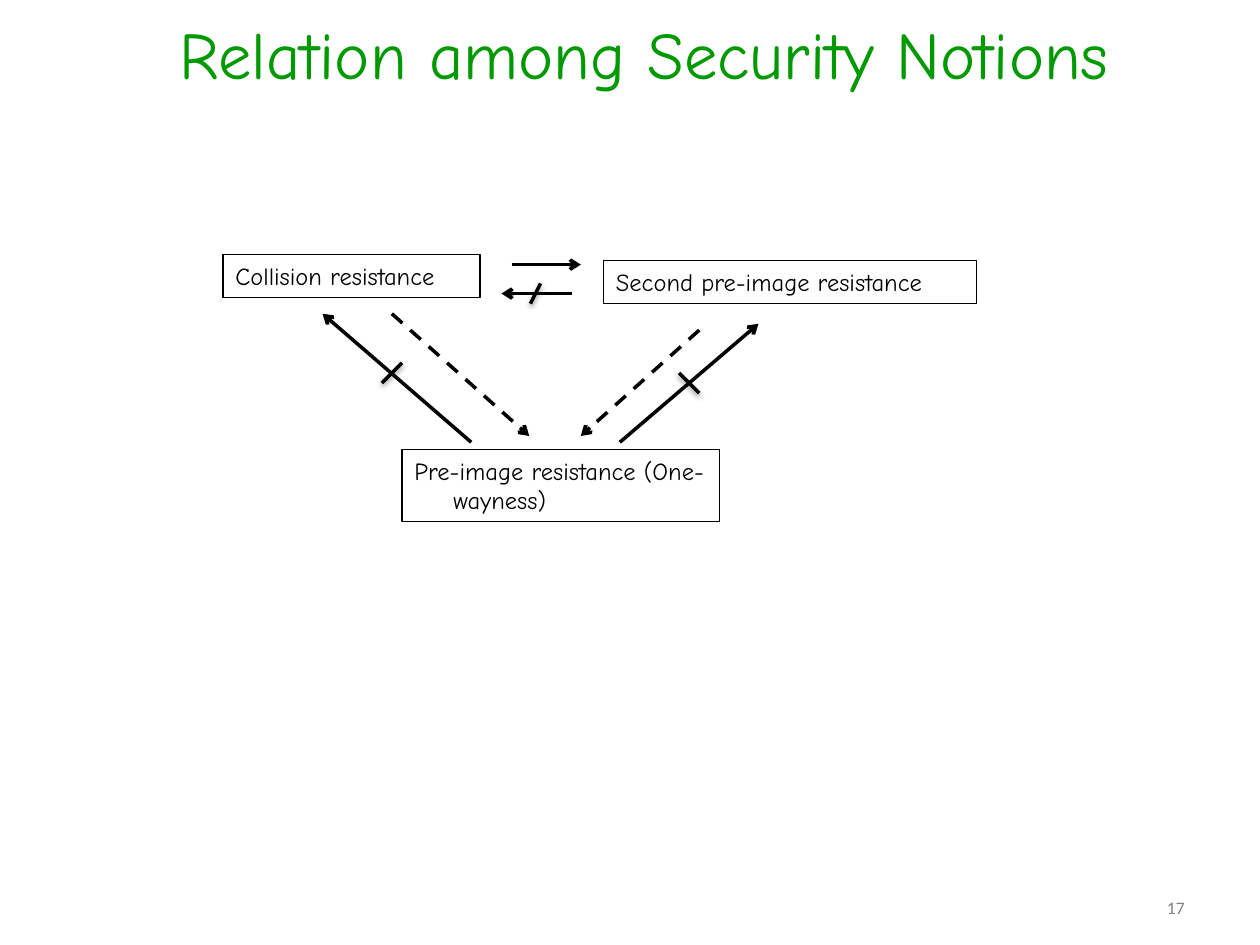
from pptx import Presentation, util as u
from pptx.dml.color import RGBColor
from pptx.enum import dml, shapes, text
from pptx.oxml import parse_xml
from pptx.oxml.ns import nsdecls

THEME = dict(
    title=("Comic Neue", 38, RGBColor(0x00, 0x99, 0x00)),
    body=("Comic Neue", 14, RGBColor(0x00, 0x00, 0x00)),
    number=("Calibri", 10, RGBColor(0x80, 0x80, 0x80)),
    ink=RGBColor(0x00, 0x00, 0x00), border=0.75, stroke=2, hang=0.31,
)
SHADOW = ('<a:outerShdw blurRad="39370" dist="20320" dir="5400000" rotWithShape="0">'
          '<a:srgbClr val="000000"><a:alpha val="38000"/></a:srgbClr></a:outerShdw>')

prs = Presentation()
prs.slide_width, prs.slide_height = u.Inches(10), u.Inches(7.5)
s = prs.slides.add_slide(prs.slide_layouts[6])


def write(sp, words, style, align, anchor=text.MSO_ANCHOR.TOP):
    tf = sp.text_frame
    tf.word_wrap = True
    tf.vertical_anchor = anchor
    p = tf.paragraphs[0]
    p.alignment = align
    r = p.add_run()
    r.text = words
    r.font.name, size, r.font.color.rgb = THEME[style]
    r.font.size = u.Pt(size)
    return p


def line(start, end, dash=False, arrow=True):
    sp = s.shapes.add_connector(shapes.MSO_CONNECTOR.STRAIGHT,
                                *(u.Inches(v) for v in start + end))
    sp.line.color.rgb = THEME["ink"]
    sp.line.width = u.Pt(THEME["stroke"])
    if dash:
        sp.line.dash_style = dml.MSO_LINE.DASH
    if arrow:
        sp.line._get_or_add_ln().append(
            parse_xml(f'<a:tailEnd {nsdecls("a")} type="arrow"/>'))
    # Only the plain strokes cast a shadow
    effect = "" if arrow else SHADOW
    sp._element.spPr.append(
        parse_xml(f'<a:effectLst {nsdecls("a")}>{effect}</a:effectLst>'))


# Title
sp = s.shapes.add_textbox(*map(u.Inches, (-0.12, 0.05, 10.47, 0.55)))
write(sp, "Relation among Security Notions", "title", text.PP_ALIGN.CENTER)

# Security notions
for words, box in (
    ("Collision resistance", (1.77, 2.02, 2.04, 0.34)),
    ("Second pre-image resistance", (4.79, 2.07, 2.96, 0.34)),
    ("Pre-image resistance (One-wayness)", (3.19, 3.57, 2.52, 0.57)),
):
    sp = s.shapes.add_shape(shapes.MSO_SHAPE.RECTANGLE, *map(u.Inches, box))
    sp.shadow.inherit = False
    sp.fill.background()
    sp.line.color.rgb = THEME["ink"]
    sp.line.width = u.Pt(THEME["border"])
    p = write(sp, words, "body", text.PP_ALIGN.LEFT)
    pPr = p._p.get_or_add_pPr()
    pPr.set("marL", str(u.Inches(THEME["hang"])))
    pPr.set("indent", str(-u.Inches(THEME["hang"])))

# Implications: solid, and dashed for conditional ones
line((4.06, 2.1), (4.61, 2.1))
line((5.55, 2.62), (4.61, 3.46), dash=True)
line((3.11, 2.49), (4.2, 3.46), dash=True)

# Non-implications: an arrow crossed by a short stroke
for start, end, cross_start, cross_end in (
    ((4.54, 2.33), (3.98, 2.33), (4.21, 2.41), (4.29, 2.25)),
    ((4.92, 3.51), (6.02, 2.57), (5.55, 3.12), (5.39, 2.96)),
    ((3.74, 3.51), (2.56, 2.49), (3.19, 2.88), (3.03, 3.04)),
):
    line(start, end)
    line(cross_start, cross_end, arrow=False)

# Slide number
sp = s.shapes.add_textbox(*map(u.Inches, (7.17, 7.06, 2.33, 0.29)))
write(sp, "17", "number", text.PP_ALIGN.RIGHT, text.MSO_ANCHOR.MIDDLE)

prs.save("out.pptx")
